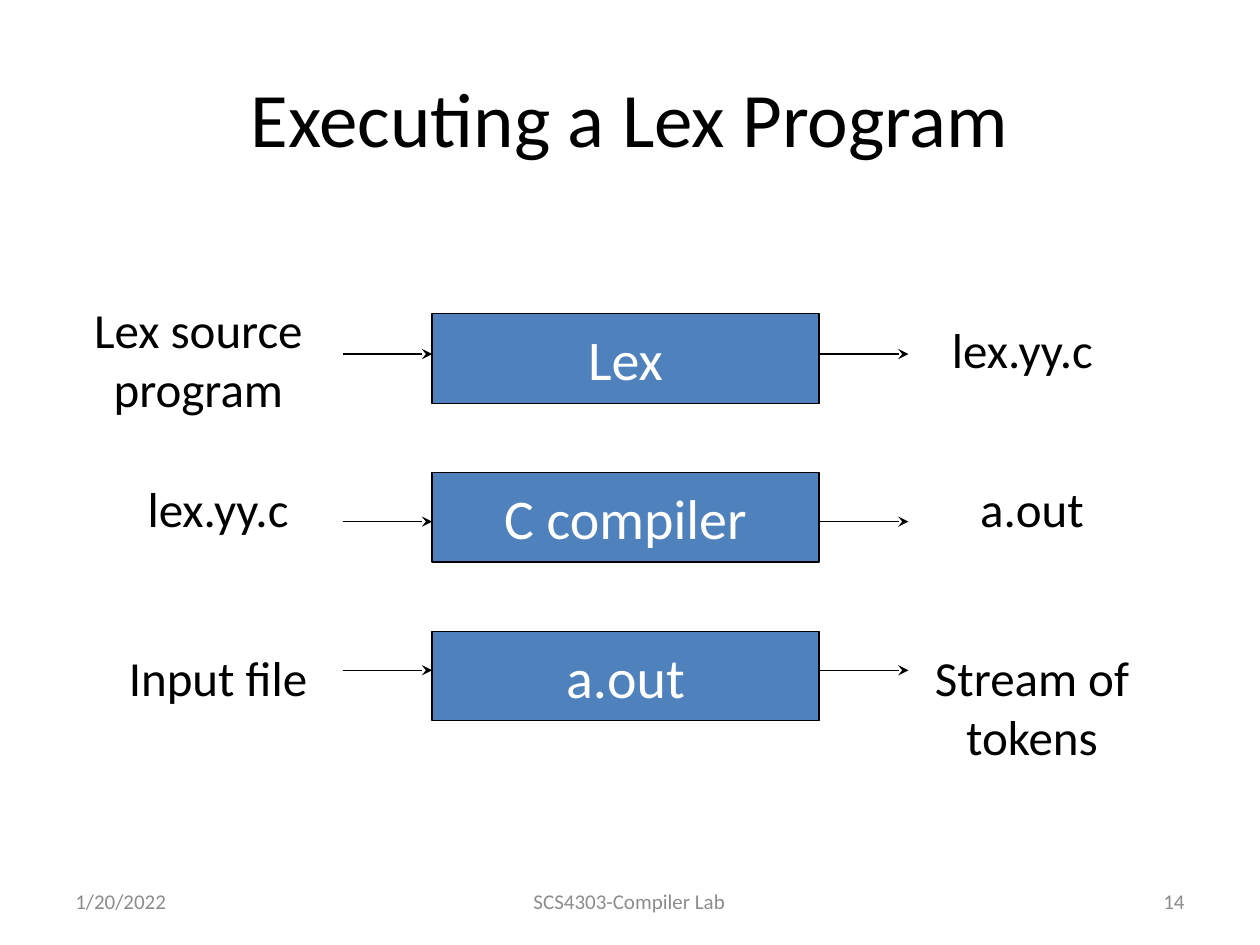
from dataclasses import dataclass

from lxml import etree
from pptx import Presentation
from pptx.dml.color import RGBColor
from pptx.enum.shapes import MSO_CONNECTOR, MSO_SHAPE
from pptx.enum.text import MSO_ANCHOR, PP_ALIGN
from pptx.oxml.ns import qn
from pptx.util import Pt

PX = 9144  # EMU per px, 100 px to the inch
LEFT, MID, RIGHT = PP_ALIGN.LEFT, PP_ALIGN.CENTER, PP_ALIGN.RIGHT
TOP, MIDDLE = MSO_ANCHOR.TOP, MSO_ANCHOR.MIDDLE
RECT, LINE = MSO_SHAPE.RECTANGLE, MSO_CONNECTOR.STRAIGHT


@dataclass(frozen=True)
class Theme:
    font: str = "Calibri"
    ink: RGBColor = RGBColor(0, 0, 0)
    blue: RGBColor = RGBColor(0x4F, 0x81, 0xBD)
    white: RGBColor = RGBColor(255, 255, 255)
    gray: RGBColor = RGBColor(0x8C, 0x8C, 0x8C)
    title: int = 44
    stage: int = 32
    label: int = 28
    foot: int = 12
    rule: float = 0.75


THEME = Theme()


def emu(*sizes):
    return [size * PX for size in sizes]


def write(shape, text, size, color, align=MID, anchor=MIDDLE, wrap=True):
    frame = shape.text_frame
    frame.word_wrap = wrap
    frame.vertical_anchor = anchor
    para = frame.paragraphs[0]
    para.alignment = align
    run = para.add_run()
    run.text = text
    font = run.font
    font.name, font.size = THEME.font, Pt(size)
    font.color.rgb = color


def add_text(slide, box, *args, **style):
    write(slide.shapes.add_textbox(*emu(*box)), *args, **style)


def add_arrow(slide, x, y, width):
    line = slide.shapes.add_connector(LINE, *emu(x, y, x + width, y))
    line.line.color.rgb = THEME.ink
    line.line.width = Pt(THEME.rule)
    tail = etree.SubElement(line.line._get_or_add_ln(), qn("a:tailEnd"))
    tail.set("type", "stealth")
    etree.SubElement(line._element.spPr, qn("a:effectLst"))


def add_title(slide, box, text):
    title = slide.shapes.title
    title.left, title.top, title.width, title.height = emu(*box)
    write(title, text, THEME.title, THEME.ink)


def add_stage(slide, box, name, source, result, flow):
    """Draw a step; label boxes and the arrow height are offsets from it."""
    x, y, width, height = box
    rect = slide.shapes.add_shape(RECT, *emu(*box))
    rect.shadow.inherit = False
    rect.fill.solid()
    rect.fill.fore_color.rgb = THEME.blue
    rect.line.color.rgb = THEME.ink
    rect.line.width = Pt(THEME.rule)
    write(rect, name, THEME.stage, THEME.white, wrap=False)
    for text, (dx, dy, wide, high) in (source, result):
        add_text(slide, (x + dx, y + dy, wide, high), text,
                 THEME.label, THEME.ink, anchor=TOP)
    for start in (x - 71, x + width):
        add_arrow(slide, start, y + flow, 71)


def add_flow(slide, box):
    x, y, width, height = box
    stages = (
        ("Lex", ("Lex source program", (-292, -16, 213, 103)),
         ("lex.yy.c", (362, 0, 213, 57)), 32),
        ("C compiler", ("lex.yy.c", (-284, 0, 228, 57)),
         ("a.out", (362, 0, 228, 57)), 39),
        ("a.out", ("Input file", (-284, 8, 228, 57)),
         ("Stream of tokens", (362, 8, 228, 104)), 31),
    )
    tall = 71
    step = (height - tall) // (len(stages) - 1)
    for row, stage in enumerate(stages):
        add_stage(slide, (x, y + row * step, width, tall), *stage)


def add_footer(slide, box):
    x, y, width, height = box
    parts = (
        ("1/20/2022", 0, 233, LEFT),
        ("SCS4303-Compiler Lab", (width - 317) // 2, 317, MID),
        ("14", width - 233, 233, RIGHT),
    )
    for text, dx, wide, align in parts:
        add_text(slide, (x + dx, y, wide, height), text,
                 THEME.foot, THEME.gray, align=align)


def main():
    deck = Presentation()
    deck.slide_width, deck.slide_height = emu(1000, 750)
    slide = deck.slides.add_slide(deck.slide_layouts[5])
    add_title(slide, (50, 30, 900, 125), "Executing a Lex Program")
    add_flow(slide, (343, 249, 307, 323))
    add_footer(slide, (50, 695, 900, 40))
    deck.save("out.pptx")


if __name__ == "__main__":
    main()
